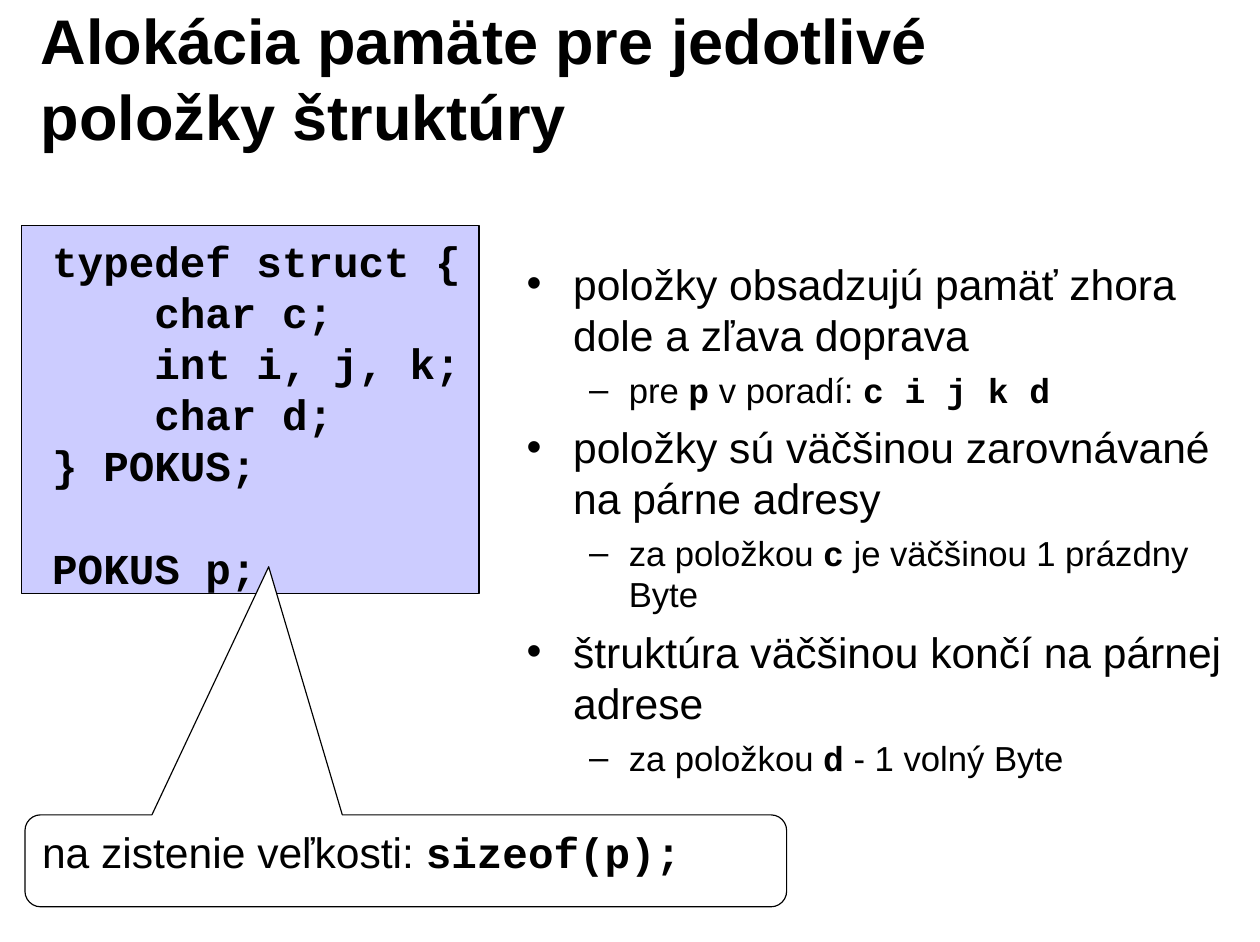
from lxml.etree import SubElement
from pptx import Presentation
from pptx.dml.color import RGBColor
from pptx.enum.shapes import MSO_SHAPE
from pptx.enum.text import MSO_ANCHOR, MSO_AUTO_SIZE, PP_ALIGN
from pptx.oxml.ns import qn
from pptx.util import Inches, Pt

BLACK = RGBColor(0x00, 0x00, 0x00)
WHITE = RGBColor(0xFF, 0xFF, 0xFF)
LAVENDER = RGBColor(0xCC, 0xCC, 0xFF)
SANS, MONO = "Arial", "Courier New"
COLUMNS, ROWS = 111, 83
CODE_SIZE = 27
CODE_LINE = 32.4
CODE_INDENT = 0.9

LEVELS = [
    {"mark": "•", "size": 27, "left": 0.41, "hang": 0.41, "before": 6.8},
    {"mark": "–", "size": 22, "left": 0.9, "hang": 0.35, "before": 5.5},
]
POINTS = [
    (0, ["položky obsadzujú pamäť zhora dole a zľava doprava"]),
    (1, ["pre ", "p", " v poradí: ", "c i j k d"]),
    (0, ["položky sú väčšinou zarovnávané na párne adresy"]),
    (1, ["za položkou ", "c", " je väčšinou 1 prázdny Byte"]),
    (0, ["štruktúra väčšinou končí na párnej adrese"]),
    (1, ["za položkou ", "d", " - 1 volný Byte"]),
]
CODE = [
    (0, 0, "typedef struct {"),
    (1, 0, "char c;"),
    (1, 0, "int i, j, k;"),
    (1, 0, "char d;"),
    (0, 0, "} POKUS;"),
    (0, 1, "POKUS p;"),
]


class StructSlide:
    """Draws the styled elements of one slide on a grid of columns and rows."""

    def __init__(self, deck):
        self.column = deck.slide_width / COLUMNS
        self.row = deck.slide_height / ROWS
        self.page = deck.slides.add_slide(deck.slide_layouts[6])

    def place(self, left, top, width, height):
        return (round(left * self.column), round(top * self.row),
                round(width * self.column), round(height * self.row))

    def frame(self, shape, **settings):
        frame = shape.text_frame
        values = {"word_wrap": True, "vertical_anchor": MSO_ANCHOR.TOP,
                  "margin_left": Inches(0.11), "margin_right": Inches(0.11),
                  "margin_top": Inches(0.06), "margin_bottom": Inches(0.06)}
        for name, value in (values | settings).items():
            setattr(frame, name, value)
        return frame

    def text_box(self, grid, **settings):
        return self.frame(self.page.shapes.add_textbox(*self.place(*grid)), **settings)

    def paragraph(self, frame, index, before=0):
        para = frame.add_paragraph() if index else frame.paragraphs[0]
        para.alignment = PP_ALIGN.LEFT
        para.space_before = Pt(before)
        return para

    def span(self, para, text, size, face=SANS, bold=False):
        span = para.add_run()
        span.text = text
        for name, value in {"size": Pt(size), "name": face, "bold": bold}.items():
            setattr(span.font, name, value)
        span.font.color.rgb = BLACK

    def mixed(self, para, texts, size):
        for index, text in enumerate(texts):
            code = index % 2 == 1
            self.span(para, text, size, MONO if code else SANS, code)

    def indent(self, para, left, hang=0):
        properties = para._p.get_or_add_pPr()
        properties.set("marL", str(Inches(left)))
        properties.set("indent", str(-Inches(hang)))
        return properties

    def title(self, grid, text):
        frame = self.text_box(grid, vertical_anchor=MSO_ANCHOR.MIDDLE)
        self.span(self.paragraph(frame, 0), text, 40, bold=True)

    def bullets(self, grid, points):
        frame = self.text_box(grid)
        for index, (depth, texts) in enumerate(points):
            level = LEVELS[depth]
            para = self.paragraph(frame, index, level["before"])
            para.level = depth
            properties = self.indent(para, level["left"], level["hang"])
            SubElement(properties, qn("a:buFont"), typeface=SANS)
            SubElement(properties, qn("a:buChar"), char=level["mark"])
            self.mixed(para, texts, level["size"])

    def code(self, grid, lines):
        frame = self.text_box(grid, word_wrap=False,
                              auto_size=MSO_AUTO_SIZE.SHAPE_TO_FIT_TEXT)
        for index, (depth, gap, text) in enumerate(lines):
            para = self.paragraph(frame, index, gap * CODE_LINE)
            self.indent(para, depth * CODE_INDENT)
            self.span(para, text, CODE_SIZE, MONO, True)

    def panel(self, kind, grid, color):
        shape = self.page.shapes.add_shape(kind, *self.place(*grid))
        shape.shadow.inherit = False
        shape.fill.solid()
        shape.fill.fore_color.rgb = color
        shape.line.color.rgb = BLACK
        shape.line.width = Pt(0.75)
        return shape

    def callout(self, grid, pointer, texts):
        shape = self.panel(MSO_SHAPE.ROUNDED_RECTANGULAR_CALLOUT, grid, WHITE)
        for index, value in enumerate(pointer):
            shape.adjustments[index] = value
        para = self.paragraph(self.frame(shape), 0, 16.9)
        self.mixed(para, texts, 27)


def main():
    deck = Presentation()
    deck.slide_width, deck.slide_height = Inches(11.1), Inches(8.3)
    slide = StructSlide(deck)
    slide.title((2.5, 1.7, 89.2, 10.2), "Alokácia pamäte pre jedotlivé položky štruktúry")
    slide.bullets((45.3, 22.1, 63.7, 47.6), POINTS)
    slide.panel(MSO_SHAPE.RECTANGLE, (1.9, 19.9, 40.3, 32.4), LAVENDER)
    slide.code((3.5, 20.1, 38.2, 37.1), CODE)
    slide.callout((2.2, 71.8, 67.1, 8.1), (-0.18, -3.2, 0.17),
                  ["na zistenie veľkosti: ", "sizeof(p);"])
    deck.save("out.pptx")


if __name__ == "__main__":
    main()
